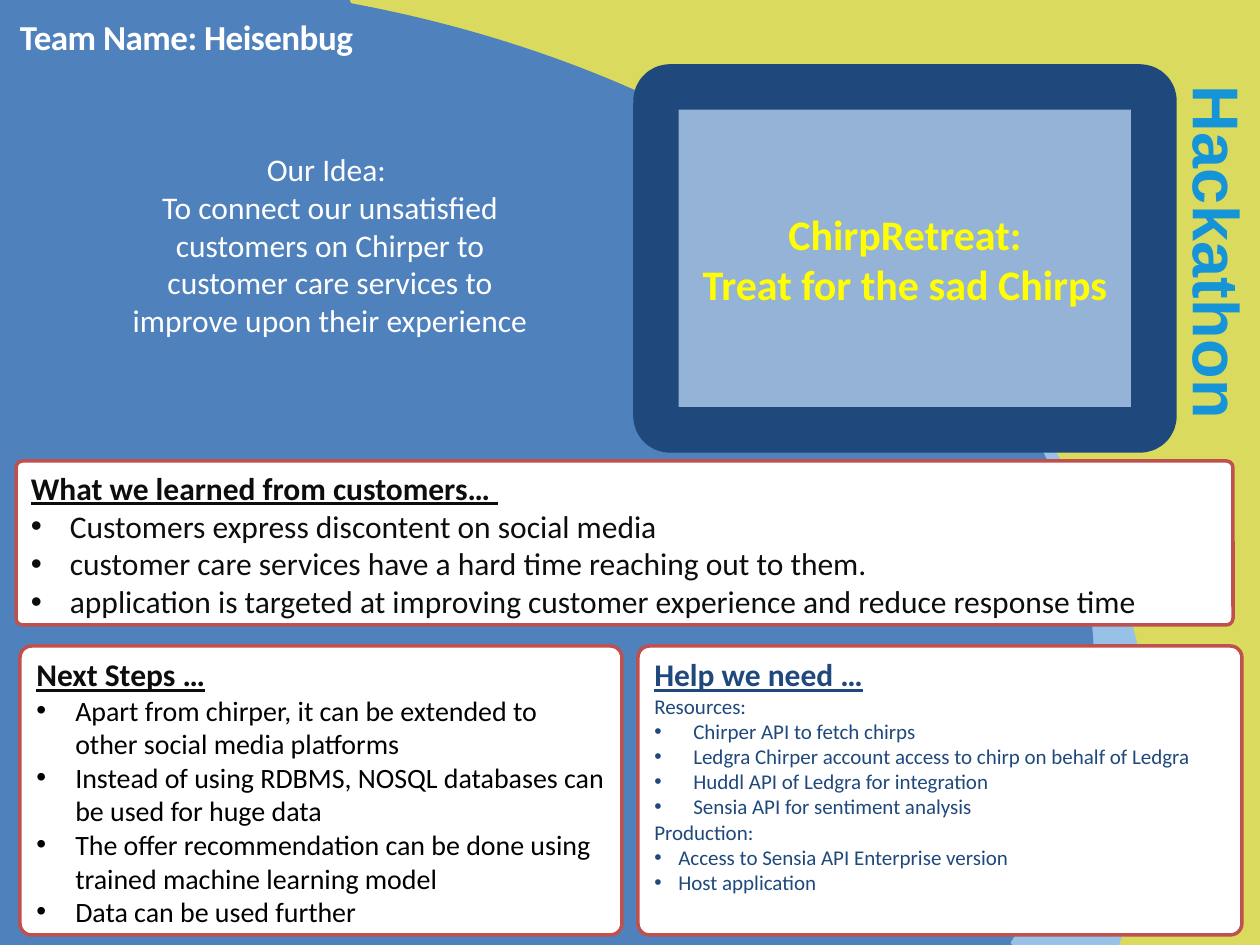
from lxml import etree
from pptx import Presentation
from pptx.dml.color import RGBColor
from pptx.enum.shapes import MSO_SHAPE
from pptx.enum.text import MSO_ANCHOR, MSO_AUTO_SIZE, PP_ALIGN
from pptx.oxml.ns import qn
from pptx.util import Emu, Pt

RECT, ROUND = MSO_SHAPE.RECTANGLE, MSO_SHAPE.ROUNDED_RECTANGLE
CHORD, TRIANGLE = MSO_SHAPE.CHORD, MSO_SHAPE.RIGHT_TRIANGLE
LEFT, CENTER = PP_ALIGN.LEFT, PP_ALIGN.CENTER
TOP, MIDDLE = MSO_ANCHOR.TOP, MSO_ANCHOR.MIDDLE
NO_FIT = MSO_AUTO_SIZE.NONE

EMU_PER_PX = 914400 / 126
TITLE_ONLY = 5
CORNER = 0.04
WIDE_INDENT, NARROW_INDENT = 39, 24
CARD_INSETS, TIGHT_INSETS = (13, 6), (2, 1)

COLORS = {
    "lime": "DADB5E", "sky": "97C1E7", "blue": "4F81BD", "white": "FFFFFF",
    "red": "C0504D", "ink": "0D0D0D", "black": "000000", "navy": "1F497D",
    "screen": "95B3D7", "yellow": "FFFF00", "azure": "1594D7",
}


def px(length):
    return Emu(round(length * EMU_PER_PX))


def color(name):
    return RGBColor.from_string(COLORS[name])


def text_format(size, shade, font="Calibri", **extra):
    return {"name": font, "size": Pt(size), "color": shade, **extra}


def place(box, at):
    for side, length in zip(("left", "top", "width", "height"), at):
        setattr(box, side, px(length))


def add_block(page, kind, at, fill, line=None, adjust=(), rotation=0):
    block = page.shapes.add_shape(kind, *map(px, at))
    block.shadow.inherit = False
    block.rotation = rotation
    for index, value in enumerate(adjust):
        block.adjustments[index] = value
    block.fill.solid()
    block.fill.fore_color.rgb = color(fill)
    if line:
        shade, width = line
        block.line.color.rgb = color(shade)
        block.line.width = Pt(width)
    else:
        block.line.fill.background()
    return block


def set_bullet(para, indent):
    properties = para._p.get_or_add_pPr()
    properties.set("marL", str(px(indent)))
    properties.set("indent", str(-px(indent)))
    etree.SubElement(properties, qn("a:buFont")).set("typeface", "Arial")
    etree.SubElement(properties, qn("a:buChar")).set("char", "•")


def write(box, lines, align=LEFT, anchor=TOP, insets=CARD_INSETS, wrap=True):
    """Fill a box with lines of (text, format, bullet indent)."""
    frame = box.text_frame
    side, edge = map(px, insets)
    layout = {"word_wrap": wrap, "auto_size": NO_FIT, "vertical_anchor": anchor,
              "margin_left": side, "margin_right": side,
              "margin_top": edge, "margin_bottom": edge}
    for name, value in layout.items():
        setattr(frame, name, value)
    for index, (text, style, indent) in enumerate(lines):
        para = frame.add_paragraph() if index else frame.paragraphs[0]
        para.alignment = align
        if indent:
            set_bullet(para, indent)
        span = para.add_run()
        span.text = text
        for name, value in style.items():
            if name == "color":
                span.font.color.rgb = color(value)
            elif name == "spacing":
                span._r.get_or_add_rPr().set("spc", str(value))
            else:
                setattr(span.font, name, value)


def styled(texts, style, indent=0):
    return [(text, style, indent) for text in texts]


def add_card(page, at, heading, shade, lines):
    card = add_block(page, ROUND, at, "white", ("red", 2), [CORNER])
    style = text_format(18, shade, bold=True, underline=True)
    write(card, [(heading, style, 0)] + lines)


def add_background(page):
    add_block(page, RECT, (9, 0, 1260, 945), "lime")
    add_block(page, CHORD, (-707, 8, 1864, 1378), "sky",
              adjust=(55.64, 115.51), rotation=189.4)
    add_block(page, CHORD, (-922, -21, 2016, 1378), "blue",
              adjust=(65.84, 118.17), rotation=180)
    add_block(page, RECT, (-8, 0, 358, 945), "blue")
    add_block(page, TRIANGLE, (349, 0, 663, 945), "blue")


def add_cards(page):
    add_card(page, (16, 461, 1217, 164), "What we learned from customers… ", "ink",
             styled(["Customers express discontent on social media",
                     "customer care services have a hard time reaching out to them.",
                     "application is targeted at improving customer experience "
                     "and reduce response time"],
                    text_format(18, "ink"), WIDE_INDENT))
    add_card(page, (20, 646, 602, 289), "Next Steps …", "ink",
             styled(["Apart from chirper, it can be extended to other "
                     "social media platforms",
                     "Instead of using RDBMS, NOSQL databases can be used for huge data",
                     "The offer recommendation can be done using "
                     "trained machine learning model",
                     "Data can be used further"],
                    text_format(16, "black"), WIDE_INDENT))
    small = text_format(12, "navy")
    resources = ["Chirper API to fetch chirps",
                 "Ledgra Chirper account access to chirp on behalf of Ledgra",
                 "Huddl API of Ledgra for integration",
                 "Sensia API for sentiment analysis"]
    production = ["Access to Sensia API Enterprise version", "Host application"]
    add_card(page, (638, 646, 604, 289), "Help we need …", "navy",
             styled(["Resources:"], small)
             + styled(resources, small, WIDE_INDENT)
             + styled(["Production:"], small)
             + styled(production, small, NARROW_INDENT))


def add_tablet(page):
    tablet = add_block(page, ROUND, (656, 87, 498, 343), "screen",
                       ("navy", 26), [CORNER])
    write(tablet, styled(["ChirpRetreat:", "Treat for the sad Chirps"],
                         text_format(24, "yellow", bold=True)),
          align=CENTER, anchor=MIDDLE)


def add_labels(page):
    # Team name in the title placeholder, brought to the front
    title = page.shapes.title
    place(title, (18, 15, 433, 45))
    title.element.getparent().append(title.element)
    write(title, styled(["Team Name: Heisenbug"],
                        text_format(20, "white", bold=True, spacing=-30)),
          insets=TIGHT_INSETS)

    # Event name down the right edge
    event = page.shapes.add_textbox(*map(px, (1046, 215, 344, 81)))
    event.rotation = 90
    write(event, styled(["Hackathon"],
                        text_format(37, "azure", "Arial", bold=True, spacing=20)),
          insets=TIGHT_INSETS, wrap=False)

    # Idea statement
    idea = page.shapes.add_textbox(*map(px, (105, 144, 450, 204)))
    write(idea, styled(["Our Idea: ",
                        "To connect our unsatisfied customers on Chirper to customer "
                        "care services to improve upon their experience"],
                       text_format(18, "white")), align=CENTER)


def main():
    deck = Presentation()
    deck.slide_width, deck.slide_height = px(1260), px(945)
    page = deck.slides.add_slide(deck.slide_layouts[TITLE_ONLY])
    add_background(page)
    add_cards(page)
    add_tablet(page)
    add_labels(page)
    deck.save("out.pptx")


if __name__ == "__main__":
    main()
